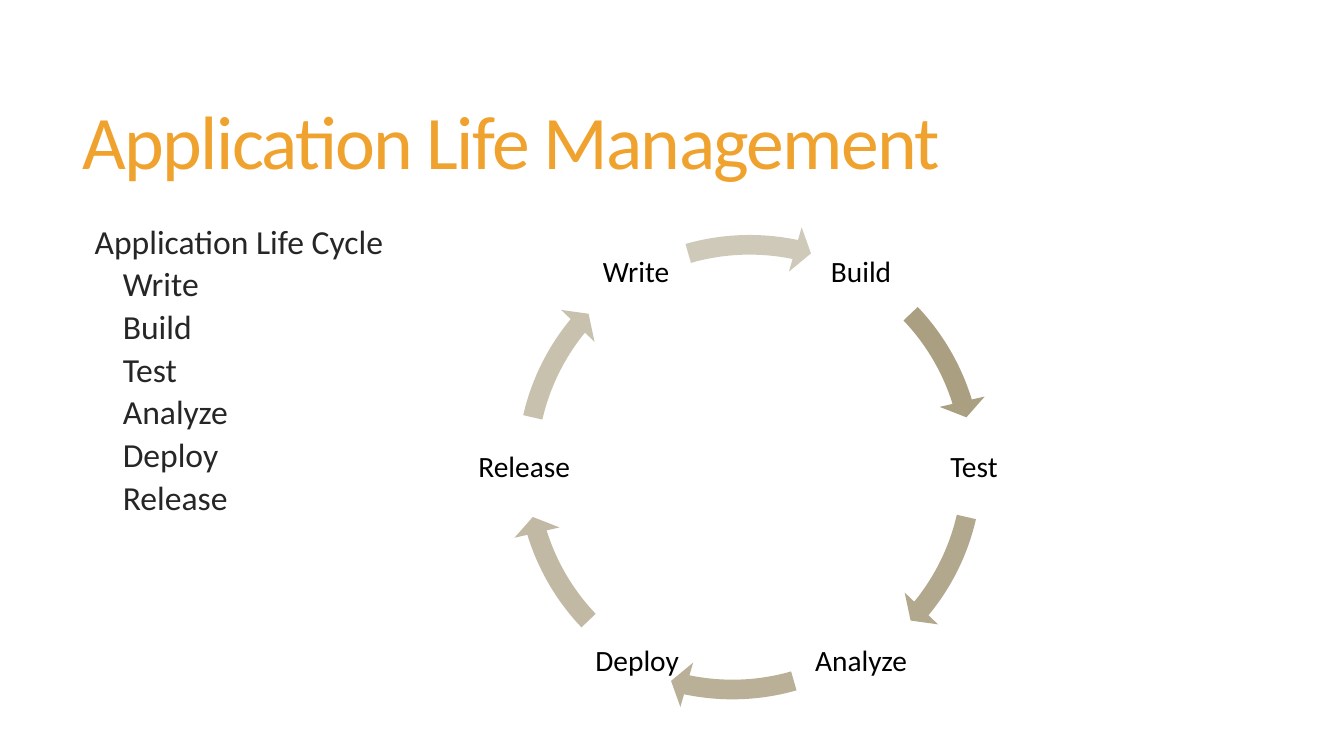
from math import cos, radians, sin

from lxml import etree
from pptx import Presentation
from pptx.dml.color import RGBColor
from pptx.enum.shapes import MSO_SHAPE
from pptx.enum.text import MSO_ANCHOR, MSO_AUTO_SIZE, PP_ALIGN
from pptx.oxml.ns import qn
from pptx.util import Pt

PX = 9144
ARROW = MSO_SHAPE.CIRCULAR_ARROW
MIDDLE = MSO_ANCHOR.MIDDLE
FIXED = MSO_AUTO_SIZE.NONE
LEFT, CENTER = PP_ALIGN.LEFT, PP_ALIGN.CENTER


def hue(code):
    return RGBColor.from_string(code)


def write(par, text, size, color, space, align=LEFT):
    par.alignment = align
    par.line_spacing = space
    run = par.add_run()
    run.text = text
    run.font.name = "Calibri"
    run.font.size = Pt(size)
    run.font.color.rgb = hue(color)
    return run


deck = Presentation()
deck.slide_width, deck.slide_height = 1333 * PX, 750 * PX
slide = deck.slides.add_slide(deck.slide_layouts[5])
shapes = slide.shapes

title = shapes.title
title.left, title.top, title.width, title.height = [n * PX for n in (72, 55, 1178, 181)]
frame = title.text_frame
frame.auto_size = FIXED
frame.vertical_anchor = MIDDLE
run = write(frame.paragraphs[0], "Application Life Management", 54, "F0A22E", 0.85)
run.font._element.set("spc", "-120")

steps = ["Build", "Test", "Analyze", "Deploy", "Release", "Write"]

body = shapes.add_textbox(74 * PX, 220 * PX, 1176 * PX, 412 * PX).text_frame
body.word_wrap = True
par = body.paragraphs[0]
par.space_before = Pt(13)
par._p.get_or_add_pPr().set("marL", str(10 * PX))
write(par, "Application Life Cycle", 24, "262626", 0.85)
for step in steps[-1:] + steps[:-1]:
    par = body.add_paragraph()
    par.level = 1
    par.space_before = Pt(6)
    par._p.get_or_add_pPr().set("marL", str(38 * PX))
    write(par, step, 24, "262626", 0.85)

mid_x, mid_y, reach, side, ring = 743, 464, 223, 100, 487
arcs = [(316.38, 342.89), (12.94, 39.45), (73.98, 101.85)]

for i, step in enumerate(steps):
    turn = radians(60 * i - 60)
    x = round(mid_x + reach * cos(turn) - side / 2)
    y = round(mid_y + reach * sin(turn) - side / 2)
    label = shapes.add_textbox(x * PX, y * PX, side * PX, side * PX).text_frame
    label.word_wrap = True
    label.vertical_anchor = MIDDLE
    label.margin_left = label.margin_right = 3 * PX
    label.margin_top = label.margin_bottom = 3 * PX
    write(label.paragraphs[0], step, 21, "000000", 0.9, CENTER)

    left = 483 if step == "Analyze" else 500
    arrow = shapes.add_shape(ARROW, left * PX, 220 * PX, ring * PX, ring * PX)
    start, end = [(a + i // 3 * 180) % 360 * 0.6 for a in arcs[i % 3]]
    for k, value in enumerate((0.04, 2.5, end, start, 0.047)):
        arrow.adjustments[k] = value
    arrow.shadow.inherit = False
    arrow.line.fill.background()
    arrow.fill.solid()
    arrow.fill.fore_color.rgb = hue("A19574")
    tint = arrow._element.spPr.find(qn("a:solidFill"))[0]
    etree.SubElement(tint, qn("a:alpha"), val=str((90 - 8 * i) * 1000))

deck.save("out.pptx")
